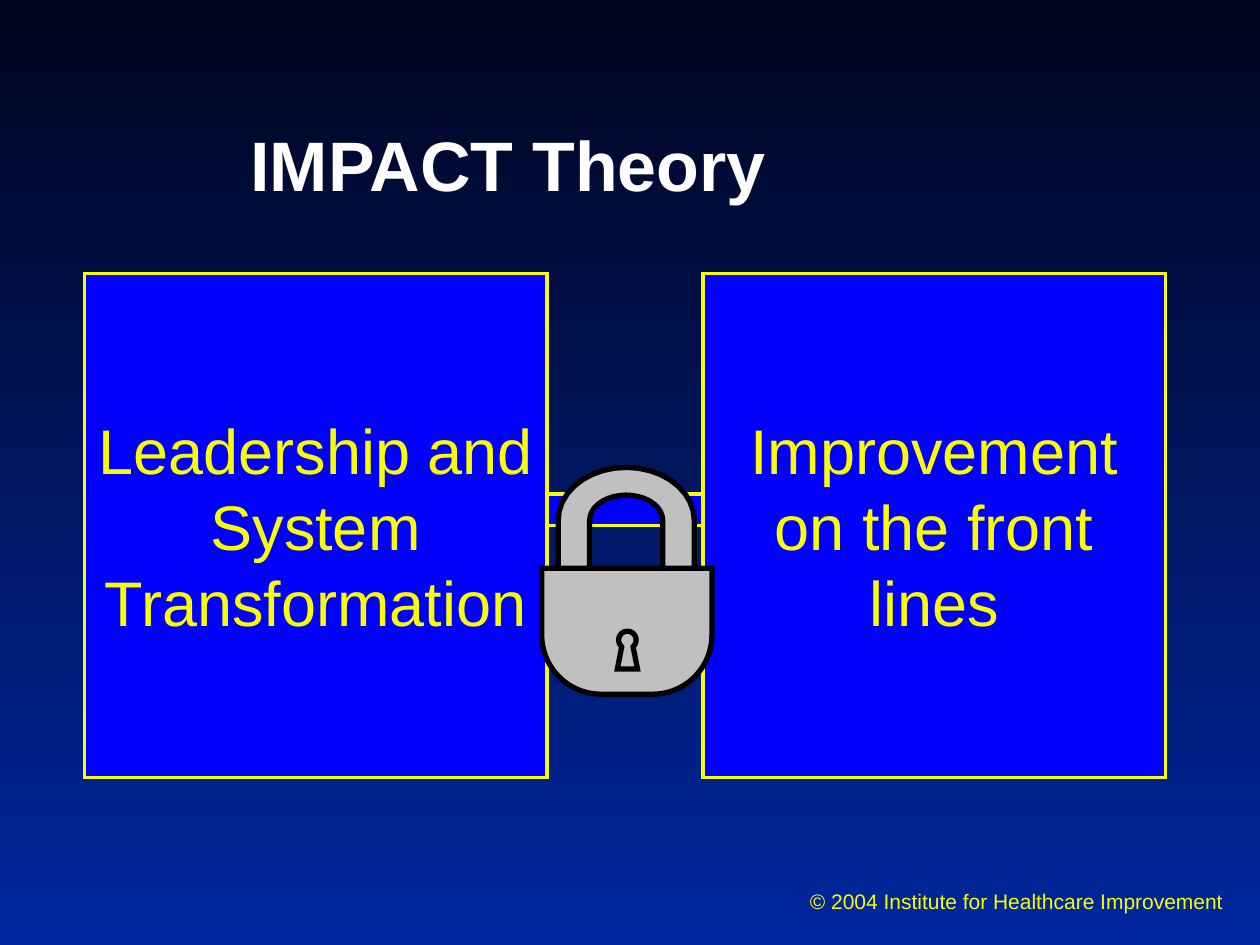
"""Build the IMPACT Theory slide: two linked panels held by a padlock."""
from math import cos, radians, sin
from lxml import etree
from pptx import Presentation
from pptx.dml.color import RGBColor
from pptx.enum.shapes import MSO_SHAPE
from pptx.enum.text import MSO_ANCHOR, PP_ALIGN
from pptx.oxml.ns import qn
from pptx.util import Inches, Pt

RECT = MSO_SHAPE.RECTANGLE
ROUND = MSO_SHAPE.ROUND_2_SAME_RECTANGLE
MIDDLE = MSO_ANCHOR.MIDDLE
LEFT, CENTER = PP_ALIGN.LEFT, PP_ALIGN.CENTER
color = RGBColor.from_string
YELLOW, BLUE, GRAY = "FAFD00", "0000FF", "C0C0C0"
WHITE, BLACK = "FFFFFF", "000000"


def paint(shape, fill, edge, width):
    shape.shadow.inherit = False
    shape.fill.solid()
    shape.fill.fore_color.rgb = color(fill)
    shape.line.color.rgb = color(edge)
    shape.line.width = Pt(width)
    line = shape.element.spPr.find(qn("a:ln"))
    etree.SubElement(line, qn("a:miter"), lim="800000")


def write(shape, text, tint, align, form):
    frame = shape.text_frame
    frame.word_wrap = True
    frame.vertical_anchor = MIDDLE
    para = frame.paragraphs[0]
    para.alignment = align
    run = para.add_run()
    run.text = text
    run.font.color.rgb = color(tint)
    for name, value in ({"name": "Arial"} | form).items():
        setattr(run.font, name, value)


prs = Presentation()
prs.slide_width, prs.slide_height = Inches(10), Inches(7.5)
slide = prs.slides.add_slide(prs.slide_layouts[6])
shapes = slide.shapes

back = slide.background.fill
back.gradient()
back.gradient_angle = 270
for stop, tint, place in zip(back.gradient_stops, ("00041E", "00279F"), (0, 1)):
    stop.color.rgb = color(tint)
    stop.position = place

labels = [
    ("© 2004 Institute for Healthcare Improvement", (6.33, 7, 3.5, 0.3),
     YELLOW, {"size": Pt(12)}),
    ("IMPACT Theory", (1.89, 0.67, 7.43, 1.25),
     WHITE, {"size": Pt(40), "bold": True}),
]
for text, box, tint, form in labels:
    label = shapes.add_textbox(*map(Inches, box))
    write(label, text, tint, LEFT, form)

link = shapes.add_shape(RECT, *map(Inches, (4.25, 3.92, 1.33, 0.25)))
paint(link, BLUE, YELLOW, 2)

panels = [(0.67, "Leadership and System Transformation"),
          (5.58, "Improvement on the front lines")]
for left, text in panels:
    panel = shapes.add_shape(RECT, *map(Inches, (left, 2.17, 3.67, 4)))
    paint(panel, BLUE, YELLOW, 2)
    write(panel, text, YELLOW, CENTER, {"size": Pt(36)})

foot = 4.51
body = shapes.add_shape(ROUND, *map(Inches, (4.3, foot, 1.35, 1)))
body.adjustments[0], body.adjustments[1] = 0, 0.47
paint(body, GRAY, BLACK, 3)

mid, spring = 4.97, 4.13
shackle = []
for wide, high, way in ((0.54, 0.42, 1), (0.29, 0.2, -1)):
    arch = [(mid - wide * cos(radians(turn)), spring - high * sin(radians(turn)))
            for turn in range(0, 181, 10)]
    rim = [(mid - wide, foot), *arch, (mid + wide, foot)]
    shackle += rim[::way]

hub, eye, size = 4.98, 5.08, 0.07
ring = [(hub - size * cos(radians(turn)), eye - size * sin(radians(turn)))
        for turn in range(-50, 231, 20)]
keyhole = [(hub - 0.08, 5.31), *ring, (hub + 0.08, 5.31)]

for outline in (shackle, keyhole):
    points = [(Inches(x), Inches(y)) for x, y in outline]
    draft = shapes.build_freeform(*points[0])
    draft.add_line_segments(points[1:], close=True)
    paint(draft.convert_to_shape(), GRAY, BLACK, 3)

prs.save("out.pptx")
